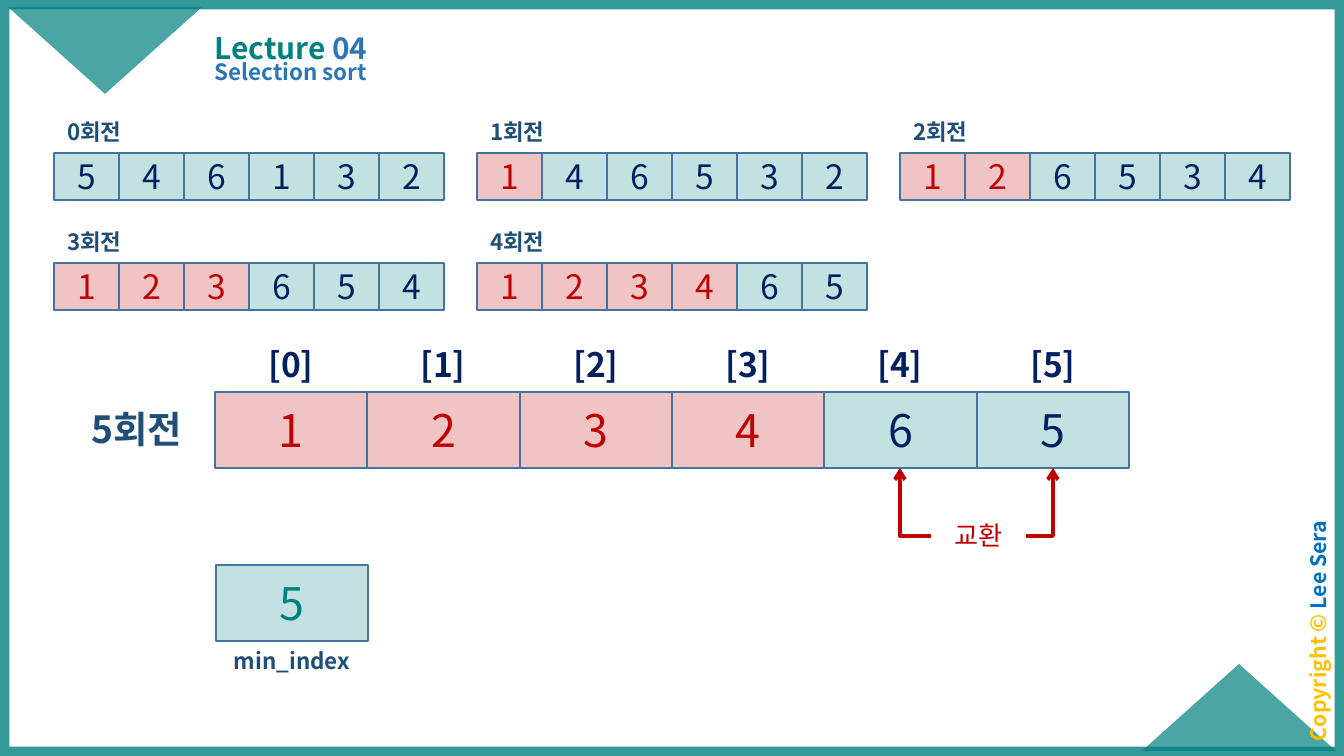
from lxml import etree
from pptx import Presentation
from pptx.dml.color import RGBColor
from pptx.enum.shapes import MSO_CONNECTOR, MSO_SHAPE
from pptx.enum.text import MSO_ANCHOR, PP_ALIGN
from pptx.oxml.ns import qn
from pptx.util import Emu, Pt

EMU_PER_PX = 914400 / 134.4
FONT = "Noto Sans CJK KR"
COLORS = {
    "teal": "008080", "red": "C00000", "navy": "002060", "label": "1F4E79",
    "blue": "2E75B6", "edge": "43739E", "gold": "FFC000", "sky": "0070C0",
}
ROUNDS = ["546132", "146532", "126534", "123654", "123465"]


def px(n):
    return Emu(round(n * EMU_PER_PX))


def rgb(name):
    return RGBColor.from_string(COLORS[name])


def set_alpha(fill_parent, percent):
    color = fill_parent.find(qn("a:solidFill"))[0]
    etree.SubElement(color, qn("a:alpha")).set("val", str(percent * 1000))


def write(sp, runs, size, bold=False, align=PP_ALIGN.CENTER,
          anchor=MSO_ANCHOR.TOP, spacing=None, before=None, tight=False):
    """Fill a shape with one paragraph of (text, color) runs."""
    tf = sp.text_frame
    tf.word_wrap = True
    tf.vertical_anchor = anchor
    if tight:
        tf.margin_left = tf.margin_right = px(10)
        tf.margin_top = tf.margin_bottom = px(5)
    p = tf.paragraphs[0]
    p.alignment = align
    if spacing:
        p.line_spacing = spacing
    if before:
        p.space_before = Pt(before)
    for text, color in runs:
        r = p.add_run()
        r.text = text
        r.font.name = FONT
        r.font.size = Pt(size)
        r.font.bold = bold
        r.font.color.rgb = rgb(color)
        etree.SubElement(r.font._element, qn("a:ea")).set("typeface", FONT)


def add_text(s, box, runs, size, **style):
    sp = s.shapes.add_textbox(*map(px, box))
    write(sp, runs, size, **style)
    return sp


def add_filled(s, kind, box, color, alpha):
    sp = s.shapes.add_shape(kind, *map(px, box))
    sp.shadow.inherit = False
    sp.fill.solid()
    sp.fill.fore_color.rgb = rgb(color)
    set_alpha(sp._element.spPr, alpha)
    sp.line.fill.background()
    return sp


def add_cell(s, box, text, fill, color, size):
    sp = add_filled(s, MSO_SHAPE.RECTANGLE, box, fill, 23)
    sp.line.color.rgb = rgb("edge")
    sp.line.width = Pt(1)
    write(sp, [(text, color)], size, anchor=MSO_ANCHOR.MIDDLE)


def add_array(s, box, digits, done, size):
    """Row of equal cells; the first `done` cells are already sorted."""
    x, y, w, h = box
    edges = [x + round(i * w / len(digits)) for i in range(len(digits) + 1)]
    for i, digit in enumerate(digits):
        fill, color = ("red", "red") if i < done else ("teal", "navy")
        add_cell(s, (edges[i], y, edges[i + 1] - edges[i], h), digit, fill, color, size)
    return edges


def add_frame(s, w, h):
    border = s.shapes.add_shape(MSO_SHAPE.RECTANGLE, 0, 0, px(w), px(h))
    border.shadow.inherit = False
    border.fill.background()
    border.line.color.rgb = rgb("teal")
    border.line.width = Pt(10)
    set_alpha(border.line._get_or_add_ln(), 80)
    # Corner triangles
    add_filled(s, MSO_SHAPE.ISOSCELES_TRIANGLE, (w - 202, h - 92, 194, 87), "teal", 70)
    corner = add_filled(s, MSO_SHAPE.ISOSCELES_TRIANGLE, (8, 7, 194, 87), "teal", 70)
    corner.rotation = 180
    # Vertical copyright line
    credit = add_text(s, (w - 145, h - 142, 250, 34),
                      [("Copyright © ", "gold"), ("Lee Sera", "sky")], 11.4,
                      bold=True, spacing=0.7, before=10, tight=True)
    credit.rotation = 270


def add_heading(s, x, y):
    add_text(s, (x + 40, y, 206, 63), [("Lecture ", "teal"), ("04", "blue")], 16,
             bold=True, anchor=MSO_ANCHOR.BOTTOM, spacing=0.9, tight=True)
    add_text(s, (x, y + 48, 286, 46), [("Selection sort", "blue")], 12,
             bold=True, spacing=0.9, before=7.5, tight=True)


def add_round(s, x, y, number):
    add_text(s, (x, y, 211, 40), [(f"{number}회전", "label")], 12,
             bold=True, align=PP_ALIGN.LEFT)
    add_array(s, (x, y + 41, 390, 47), ROUNDS[number], number, 18)


def add_elbow(s, x1, y1, x2, y2):
    """Arrow that runs sideways, then up to its head."""
    c = s.shapes.add_connector(MSO_CONNECTOR.ELBOW, *map(px, (x1, y1, x2, y2)))
    c.line.color.rgb = rgb("red")
    c.line.width = Pt(2)
    spPr = c._element.spPr
    spPr.find(qn("a:prstGeom")).set("prst", "bentConnector2")
    etree.SubElement(c.line._get_or_add_ln(), qn("a:tailEnd")).set("type", "arrow")
    etree.SubElement(spPr, qn("a:effectLst"))


def add_last_round(s, x, y, w, h):
    add_text(s, (x - 137, y + 8, 211, 59), [("5회전", "label")], 20,
             bold=True, align=PP_ALIGN.LEFT)
    edges = add_array(s, (x, y, w, h), "123465", 4, 24)
    centers = [(a + b) // 2 for a, b in zip(edges, edges[1:])]
    for i, center in enumerate(centers):
        add_text(s, (center - 75, y - 55, 150, 54), [(f"[{i}]", "navy")], 18, bold=True)
    # Swap of the last two cells
    left, bottom = centers[4] + 31, y + h
    add_text(s, (left, bottom + 45, 95, 46), [("교환", "red")], 14)
    add_elbow(s, left, bottom + 68, centers[4], bottom)
    add_elbow(s, left + 95, bottom + 68, centers[5], bottom)


def add_min_index(s, x, y, w, h):
    add_cell(s, (x, y, w, h), "5", "teal", "teal", 24)
    add_text(s, (x, y + h, w, 40), [("min_index", "label")], 12, bold=True)


def main():
    prs = Presentation()
    prs.slide_width, prs.slide_height = px(1344), px(756)
    s = prs.slides.add_slide(prs.slide_layouts[6])
    add_frame(s, 1344, 756)
    add_heading(s, 148, 8)
    for number in range(len(ROUNDS)):
        row, col = divmod(number, 3)
        add_round(s, 54 + 423 * col, 112 + 110 * row, number)
    add_last_round(s, 215, 392, 914, 76)
    add_min_index(s, 216, 565, 152, 76)
    prs.save("out.pptx")


if __name__ == "__main__":
    main()
